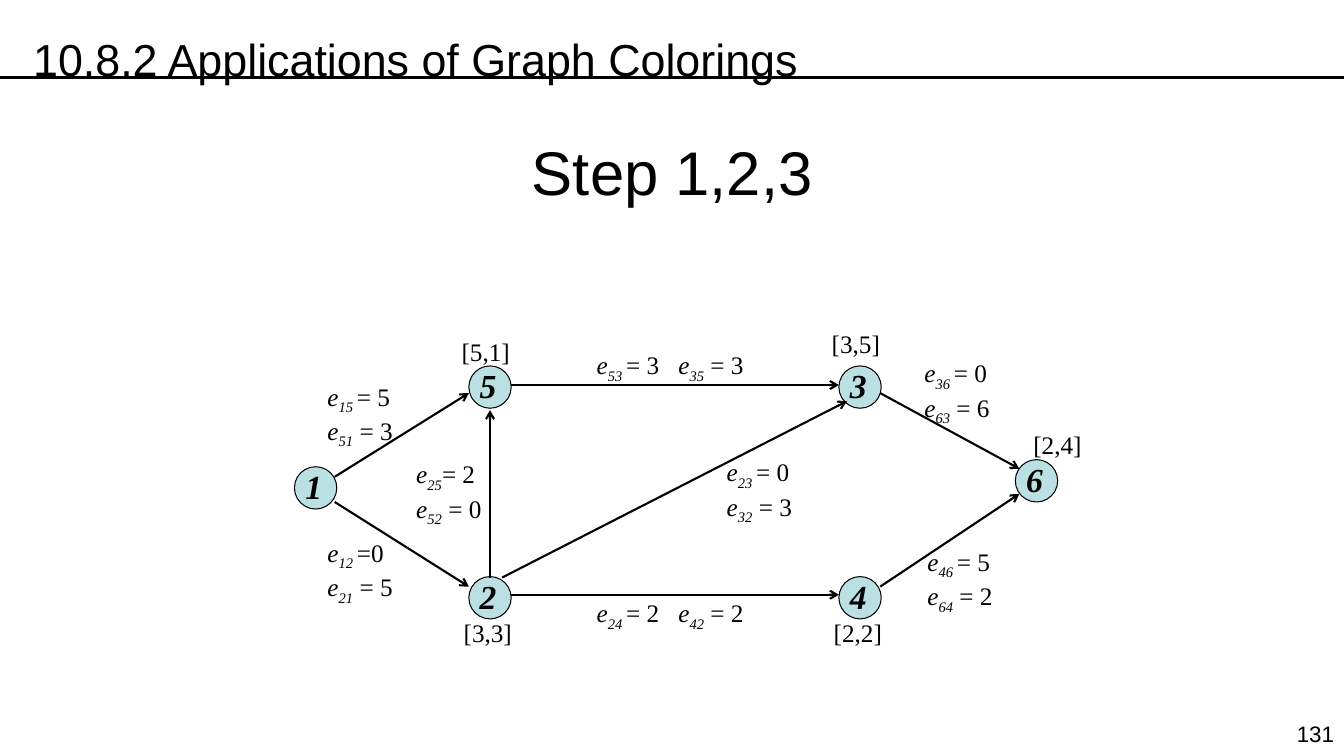
from lxml import etree
from pptx import Presentation
from pptx.dml.color import RGBColor
from pptx.enum.shapes import MSO_CONNECTOR, MSO_SHAPE
from pptx.enum.text import MSO_AUTO_SIZE, PP_ALIGN
from pptx.oxml.ns import qn
from pptx.util import Inches, Pt

STRAIGHT = MSO_CONNECTOR.STRAIGHT
OVAL = MSO_SHAPE.OVAL
GROW = MSO_AUTO_SIZE.SHAPE_TO_FIT_TEXT
LEFT, CENTER, RIGHT = PP_ALIGN.LEFT, PP_ALIGN.CENTER, PP_ALIGN.RIGHT
COLORS = {"ink": "000000", "node": "BBE0E3"}
SANS = {"name": "Arial"}
SERIF = {"name": "Times New Roman", "size": Pt(18)}
VARIABLE = {**SERIF, "italic": True}

presentation = Presentation()
presentation.slide_width = Inches(13.33)
presentation.slide_height = Inches(7.5)
slide = presentation.slides.add_slide(presentation.slide_layouts[6])


def add_text(box, lines, wrap=False, align=LEFT):
    """Each line is a list of (text, font values, baseline shift) runs."""
    text_box = slide.shapes.add_textbox(*map(Inches, box))
    frame = text_box.text_frame
    frame.word_wrap = wrap
    frame.auto_size = GROW
    for index, runs in enumerate(lines):
        paragraph = frame.add_paragraph() if index else frame.paragraphs[0]
        paragraph.alignment = align
        for text, values, shift in runs:
            run = paragraph.add_run()
            run.text = text
            for name, value in values.items():
                setattr(run.font, name, value)
            run.font.color.rgb = RGBColor.from_string(COLORS["ink"])
            if shift:
                run._r.get_or_add_rPr().set("baseline", str(shift))
    return frame


def add_line(start, end, width, arrow=False):
    line = slide.shapes.add_connector(STRAIGHT, *map(Inches, start + end))
    line.line.color.rgb = RGBColor.from_string(COLORS["ink"])
    line.line.width = Pt(width)
    if arrow:
        etree.SubElement(line.line._get_or_add_ln(), qn("a:tailEnd"), type="arrow")
    etree.SubElement(line._element.spPr, qn("a:effectLst"))


# Header rule, page number and titles
add_line((-0.01, 0.77), (13.33, 0.77), 2.25)
add_text((12.7, 7.1, 0.63, 0.37), [[("131", {**SANS, "size": Pt(16)}, 0)]], True, RIGHT)
header = add_text((0.23, 0, 12.09, 0.81),
                  [[("10.8.2 Applications of Graph Colorings", {**SANS, "size": Pt(32)}, 0)]], True)
header.paragraphs[0].line_spacing = 1.5
add_text((0.67, 1.28, 12, 1.25), [[("Step 1,2,3", {**SANS, "size": Pt(44)}, 0)]], True, CENTER)

# Graph nodes
NODE_SIZE = 0.42
nodes = {"5": (4.65, 3.63), "1": (2.92, 4.63), "2": (4.65, 5.72),
         "4": (8.32, 5.72), "3": (8.32, 3.63), "6": (10.07, 4.56)}
for number, (left, top) in nodes.items():
    node = slide.shapes.add_shape(OVAL, *map(Inches, (left, top, NODE_SIZE, NODE_SIZE)))
    node.shadow.inherit = False
    node.fill.solid()
    node.fill.fore_color.rgb = RGBColor.from_string(COLORS["node"])
    node.line.color.rgb = RGBColor.from_string(COLORS["ink"])
    node.line.width = Pt(0.75)
    number_font = {**VARIABLE, "size": Pt(24), "bold": True}
    add_text((left + 0.01, top - 0.06, 0.37, 0.5), [[(number, number_font, 0)]])

# Directed edges
edges = [
    ((5.07, 3.82), (8.32, 3.82)), ((5.07, 5.9), (8.32, 5.9)),
    ((3.32, 4.73), (4.65, 3.9)), ((3.32, 4.98), (4.65, 5.82)),
    ((8.73, 3.9), (10.11, 4.65)), ((8.73, 5.82), (10.11, 4.9)),
    ((4.98, 5.73), (8.4, 3.98)), ((4.86, 5.73), (4.86, 4.07)),
]
for start, end in edges:
    add_line(start, end, 1.5, arrow=True)

# Edge values: position, then (subscript, value) for each direction
stacked_values = [
    (9.07, 3.5, ("36 ", "= 0"), ("63", " = 6")),
    (9.1, 5.37, ("46 ", "= 5"), ("64", " = 2")),
    (3.15, 3.73, ("15 ", "= 5"), ("51", " = 3")),
    (3.15, 5.28, ("12 ", "=0"), ("21", " = 5")),
    (4.03, 4.5, ("25", "= 2"), ("52", " = 0")),
    (7.11, 4.48, ("23 ", "= 0"), ("32", " = 3")),
]
for left, top, *pairs in stacked_values:
    add_text((left, top, 0.87, 0.7),
             [[("e", VARIABLE, 0), (subscript, VARIABLE, -25000), (value, SERIF, 0)]
              for subscript, value in pairs])

# Values of the two horizontal edges sit side by side at a tab stop
side_by_side_values = [
    (3.42, ("53 ", "= 3\t"), ("35", " = 3")),
    (5.88, ("24 ", "= 2\t"), ("42", " = 2")),
]
for top, *pairs in side_by_side_values:
    runs = [run for subscript, value in pairs
            for run in (("e", VARIABLE, 0), (subscript, VARIABLE, -25000), (value, SERIF, 0))]
    frame = add_text((5.82, top, 1.75, 0.4), [runs], True)
    tabs = etree.SubElement(frame.paragraphs[0]._p.get_or_add_pPr(), qn("a:tabLst"))
    etree.SubElement(tabs, qn("a:tab"), pos=str(Inches(0.81)), algn="l")

# Node labels
node_labels = [("[5,1]", 4.48, 3.29), ("[3,5]", 8.15, 3.21), ("[3,3]", 4.5, 6.08),
               ("[2,2]", 8.17, 6.08), ("[2,4]", 10.15, 4.21)]
for label, left, top in node_labels:
    add_text((left, top, 0.68, 0.4), [[(label, SERIF, 0)]])

presentation.save("out.pptx")
